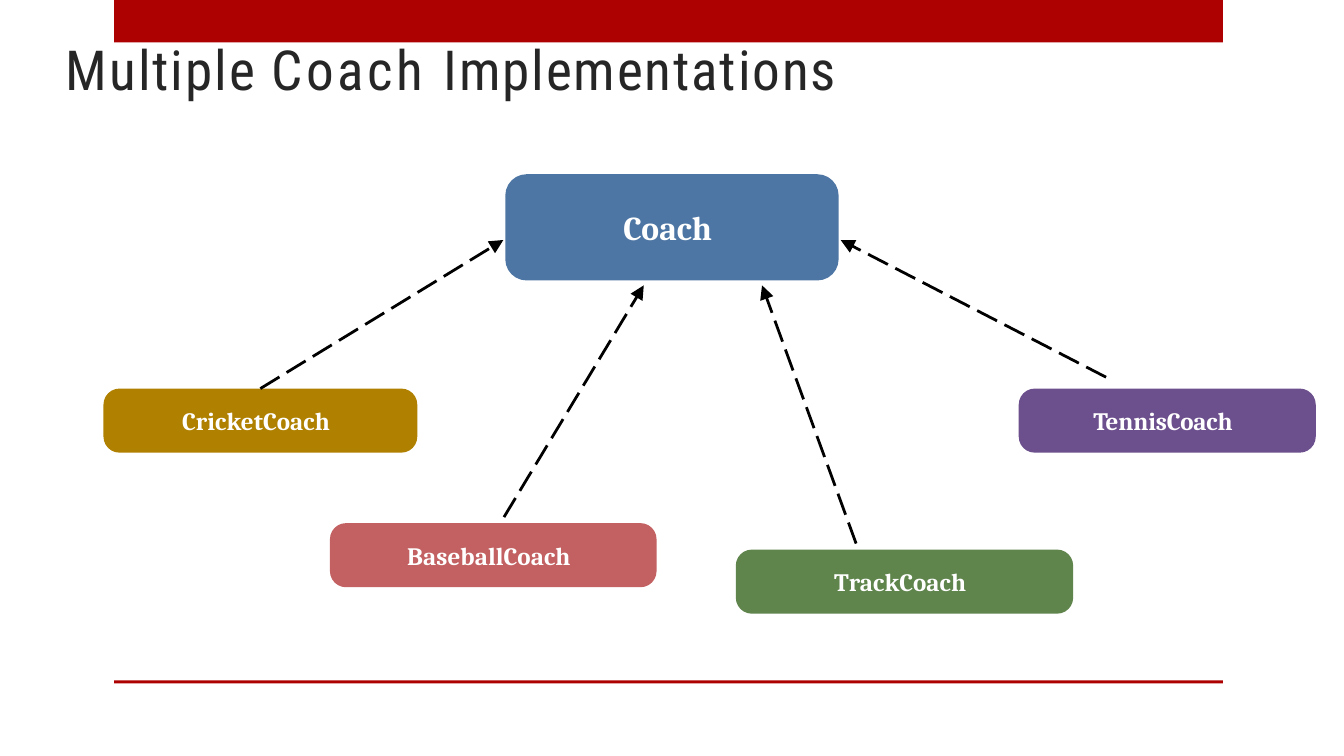
"""Build the slide of one Coach interface and its four implementations."""
import dataclasses

import lxml.etree
import pptx
import pptx.dml.color
import pptx.enum.dml
import pptx.enum.shapes
import pptx.enum.text
import pptx.oxml.ns
import pptx.util


@dataclasses.dataclass(frozen=True)
class Theme:
    accent: str = "AD0101"
    title: str = "262626"
    label: str = "FFFFFF"
    arrow: str = "000000"
    coach: str = "4D76A4"
    cricket: str = "B08100"
    baseball: str = "C36061"
    track: str = "5F844C"
    tennis: str = "6C4F8D"
    title_font: str = "Roboto Condensed"
    label_font: str = "Cambria"
    title_size: float = 65
    coach_size: float = 39.5
    label_size: float = 29.5
    arrow_width: float = 3.3


theme = Theme()
presentation = pptx.Presentation()
presentation.slide_width = pptx.util.Inches(21.99)
presentation.slide_height = pptx.util.Inches(12.37)
COLUMN = presentation.slide_width / 100
ROW = presentation.slide_height / 100
slide = presentation.slides.add_slide(presentation.slide_layouts[5])


def add_block(kind, left, top, width, height, color):
    shape = slide.shapes.add_shape(
        kind, int(left * COLUMN), int(top * ROW), int(width * COLUMN), int(height * ROW))
    shape.shadow.inherit = False
    shape.fill.solid()
    shape.fill.fore_color.rgb = pptx.dml.color.RGBColor.from_string(color)
    shape.line.fill.background()
    return shape


def write_text(shape, pieces, font, size, color, bold, alignment):
    frame = shape.text_frame
    frame.margin_left = frame.margin_right = frame.margin_top = frame.margin_bottom = 0
    paragraph = frame.paragraphs[0]
    paragraph.alignment = alignment
    paragraph.font.name = font
    paragraph.font.size = pptx.util.Pt(size)
    paragraph.font.bold = bold
    paragraph.font.color.rgb = pptx.dml.color.RGBColor.from_string(color)
    for text, spacing in pieces:
        run = paragraph.add_run()
        run.text = text
        run._r.get_or_add_rPr().set("spc", str(round(spacing * 100)))


for top, height in [(0, 5.6), (90, 0.4)]:
    add_block(pptx.enum.shapes.MSO_SHAPE.RECTANGLE, 8.5, top, 82.5, height, theme.accent)

title = slide.shapes.title
title.left, title.top = int(4.9 * COLUMN), int(4.37 * ROW)
title.width, title.height = int(60.85 * COLUMN), int(9.05 * ROW)
write_text(title, [("Multiple ", 2.3), ("Coach ", 4.2), ("Implementations", 2.2)],
           theme.title_font, theme.title_size, theme.title, False,
           pptx.enum.text.PP_ALIGN.LEFT)
title.text_frame.vertical_anchor = pptx.enum.text.MSO_ANCHOR.BOTTOM
title.text_frame.auto_size = pptx.enum.text.MSO_AUTO_SIZE.NONE

classes = [
    ([("Coach", 0)], 37.6, 23.05, 24.8, 14.05, theme.coach, theme.coach_size, 0.2),
    ([("CricketCoach", 0.1)], 7.7, 51.4, 23.35, 8.48, theme.cricket, theme.label_size, 0.25),
    ([("BaseballCoach", 0.1)], 24.55, 69.2, 24.3, 8.48, theme.baseball, theme.label_size, 0.25),
    ([("T", -3.2), ("rackCoach", 0.1)], 54.75, 72.7, 25.1, 8.48, theme.track,
     theme.label_size, 0.25),
    ([("TennisCoach", -0.2)], 75.8, 51.4, 22.1, 8.48, theme.tennis, theme.label_size, 0.25),
]
boxes = []
for pieces, left, top, width, height, color, size, rounding in classes:
    box = add_block(pptx.enum.shapes.MSO_SHAPE.ROUNDED_RECTANGLE,
                    left, top, width, height, color)
    box.adjustments[0] = rounding
    write_text(box, pieces, theme.label_font, size, theme.label, True,
               pptx.enum.text.PP_ALIGN.CENTER)
    box.text_frame.margin_right = pptx.util.Inches(0.14)
    box.text_frame.vertical_anchor = pptx.enum.text.MSO_ANCHOR.MIDDLE
    boxes.append(box)

coach, cricket, baseball, track, tennis = boxes
arrows = [
    (cricket, 19.37, 51.4, 37.45, 31.75),
    (None, 37.5, 68.4, 47.9, 37.75),
    (None, 63.7, 71.9, 56.7, 37.75),
    (None, 82.3, 49.9, 62.55, 31.75),
]
for source, start_x, start_y, end_x, end_y in arrows:
    arrow = slide.shapes.add_connector(
        pptx.enum.shapes.MSO_CONNECTOR.STRAIGHT,
        int(start_x * COLUMN), int(start_y * ROW), int(end_x * COLUMN), int(end_y * ROW))
    if source:
        arrow.begin_connect(source, 0)
    arrow.line.width = pptx.util.Pt(theme.arrow_width)
    arrow.line.color.rgb = pptx.dml.color.RGBColor.from_string(theme.arrow)
    arrow.line.dash_style = pptx.enum.dml.MSO_LINE.LONG_DASH
    properties = arrow._element.spPr
    lxml.etree.SubElement(arrow.line._get_or_add_ln(), pptx.oxml.ns.qn("a:tailEnd"),
                          type="triangle", w="lg", len="lg")
    lxml.etree.SubElement(properties, pptx.oxml.ns.qn("a:effectLst"))

presentation.save("out.pptx")
